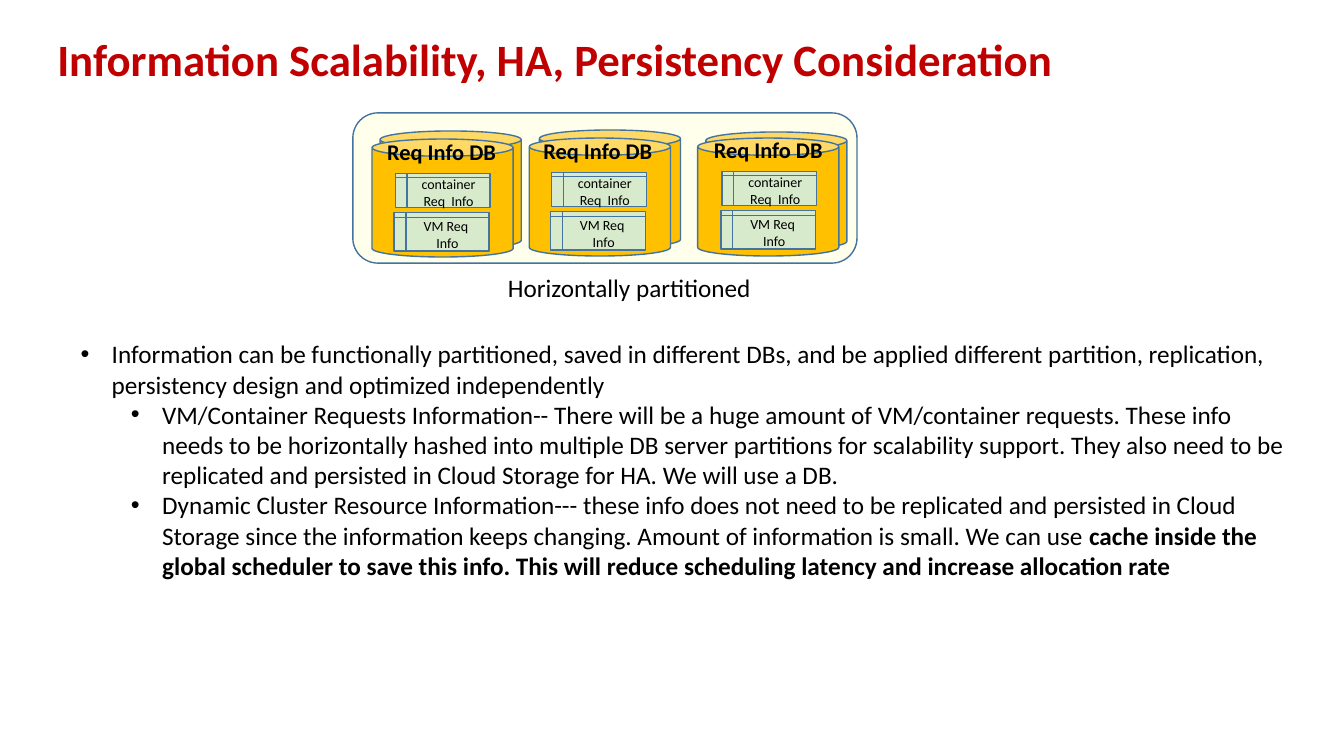
"""Build the slide on scaling, HA and persistency of request information."""
from lxml.etree import SubElement
from pptx import Presentation
from pptx.dml.color import RGBColor
from pptx.enum.shapes import MSO_SHAPE as Kind
from pptx.enum.text import MSO_ANCHOR as Anchor, PP_ALIGN as Align
from pptx.oxml.ns import qn
from pptx.util import Inches, Pt

RED = RGBColor(0xC0, 0, 0)
BLACK = RGBColor(0, 0, 0)
CREAM = RGBColor(0xFF, 0xFF, 0xEB)
GOLD = RGBColor(0xFF, 0xC0, 0)
GREEN = RGBColor(0xD7, 0xEA, 0xCC)
BLUE = RGBColor(0x43, 0x73, 0x9E)

TITLE = "Information Scalability, HA, Persistency Consideration"
LABEL = "Req Info DB"
NOTE = "Horizontally partitioned"
CAN = (1.4, 1.17)
DBS = [
    {"back": (3.77, 1.3), "front": (3.69, 1.38), "label": (3.43, 1.4)},
    {"back": (5.35, 1.29), "front": (5.25, 1.37), "label": (4.98, 1.39)},
    {"back": (7, 1.31), "front": (6.92, 1.37), "label": (6.67, 1.38)},
]
STORES = [
    ("VM Req  Info", 0.48, 0.71, 0.38),
    ("container Req  Info", 0.49, 0.32, 0.34),
]
POINTS = [
    (0, "Information can be functionally partitioned, saved in different DBs, "
        "and be applied different partition, replication, persistency design "
        "and optimized independently", ""),
    (1, "VM/Container Requests Information-- There will be a huge amount of "
        "VM/container requests. These info needs to be horizontally hashed into "
        "multiple DB server partitions for scalability support. They also need "
        "to be replicated and persisted in Cloud Storage for HA. We will use "
        "a DB.", ""),
    (1, "Dynamic Cluster Resource Information--- these info does not need to be "
        "replicated and persisted in Cloud Storage since the information keeps "
        "changing. Amount of information is small. We can use ",
        "cache inside the global scheduler to save this info. This will reduce "
        "scheduling latency and increase allocation rate"),
]

deck = Presentation()
deck.slide_width, deck.slide_height = Inches(13.33), Inches(7.5)
slide = deck.slides.add_slide(deck.slide_layouts[6])
shapes = slide.shapes


def style(para, size, color=BLACK, bold=False):
    font = para.font
    font.name, font.size, font.bold = "Calibri", Pt(size), bold
    font.color.rgb = color


def write(shape, text, size, color=BLACK, bold=False, align=Align.LEFT,
          anchor=Anchor.MIDDLE):
    frame = shape.text_frame
    frame.word_wrap, frame.vertical_anchor = True, anchor
    para = frame.paragraphs[0]
    para.text, para.alignment = text, align
    style(para, size, color, bold)
    return para


def box(*area):
    return shapes.add_textbox(*map(Inches, area))


def draw(kind, fill, *area):
    shape = shapes.add_shape(kind, *map(Inches, area))
    shape.shadow.inherit = False
    shape.fill.solid()
    shape.fill.fore_color.rgb = fill
    shape.line.color.rgb = BLUE
    shape.line.width = Pt(1)
    return shape


def bullet(para, level):
    para.level = level
    props = para._p.get_or_add_pPr()
    props.set("marL", str(Inches(0.31 + level / 2)))
    props.set("indent", str(Inches(-0.31)))
    SubElement(props, qn("a:buFont")).set("typeface", "Arial")
    SubElement(props, qn("a:buChar")).set("char", "•")


head = write(box(0.47, 0.1, 12.45, 1.02), TITLE, 32, RED, True)
head.line_spacing = 0.9
draw(Kind.ROUNDED_RECTANGLE, CREAM, 3.5, 1.12, 5, 1.49)

for db in DBS:
    for part in ("back", "front"):
        can = draw(Kind.CAN, GOLD, *db[part], *CAN)
        can.adjustments[0] = 0.146
    left, top = db["label"]
    write(box(left, top, 1.9, 0.21), LABEL, 16, bold=True, align=Align.CENTER)
    for text, right, down, height in STORES:
        store = draw(Kind.FLOWCHART_INTERNAL_STORAGE, GREEN,
                     left + right, top + down, 0.94, height)
        write(store, text, 10, align=Align.CENTER)

write(box(4.94, 2.65, 2.74, 0.4), NOTE, 18, anchor=Anchor.TOP)

frame = box(0.7, 3.31, 12.28, 2.52).text_frame
frame.word_wrap = True
for i, (level, plain, strong) in enumerate(POINTS):
    para = frame.add_paragraph() if i else frame.paragraphs[0]
    para.add_run().text = plain
    if strong:
        run = para.add_run()
        run.text, run.font.bold = strong, True
    style(para, 18)
    bullet(para, level)

deck.save("out.pptx")
